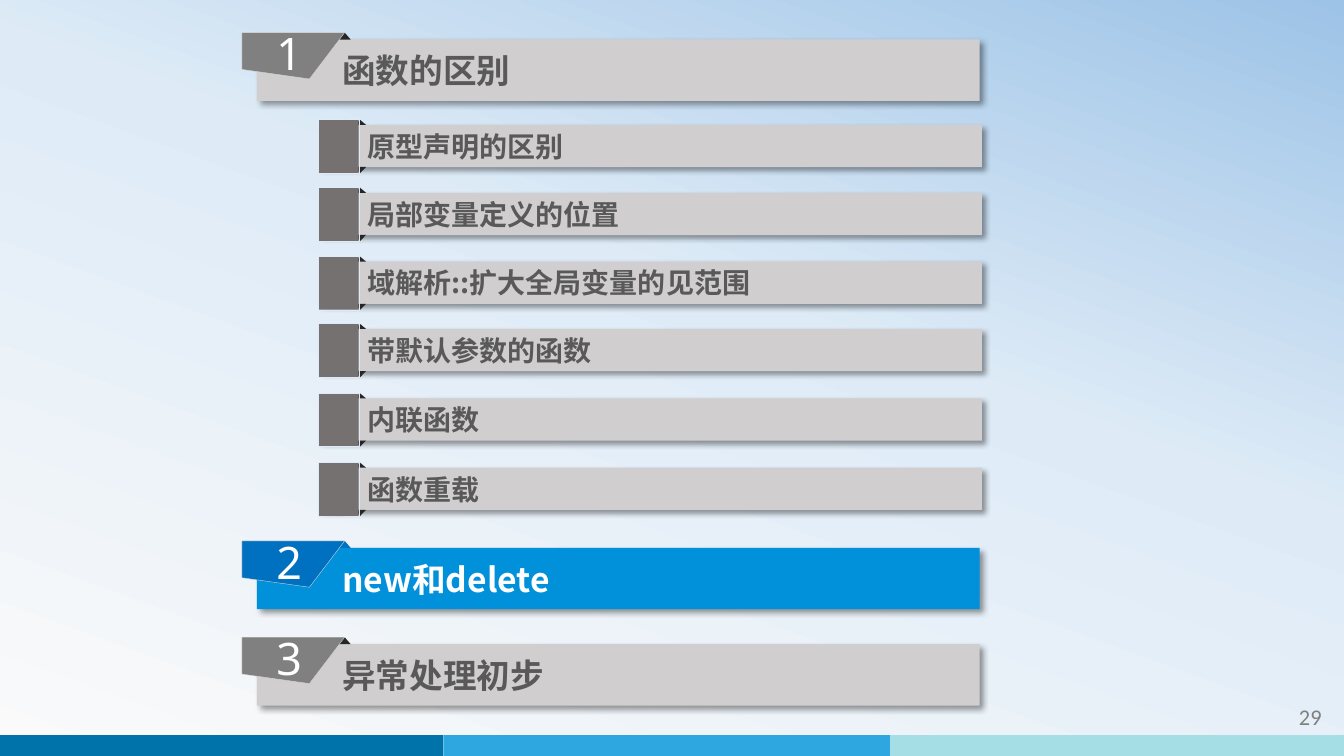
import copy
from dataclasses import dataclass

import pptx
import pptx.dml.color
import pptx.enum.shapes
import pptx.enum.text
import pptx.oxml
import pptx.oxml.ns
import pptx.util

Pt = pptx.util.Pt
qn = pptx.oxml.ns.qn
SHAPE = pptx.enum.shapes.MSO_SHAPE
ALIGN = pptx.enum.text.PP_ALIGN
CJK = "Noto Sans CJK SC"
COLORS = {
    "bar": "D0CECE", "text": "595959", "fold": "262626", "tag": "808080",
    "tag_edge": "D9D9D9", "square": "767171", "square_edge": "DEEBF7",
    "active_bar": "0091DA", "active": "0070C0", "white": "FFFFFF",
    "sky_low": "FAFAFA", "sky_mid": "DEEBF7", "sky_high": "9DC3E6",
    "band_1": "0073AB", "band_2": "2EA7E0", "band_3": "A5DEE4",
}


@dataclass
class Section:
    number: str
    title: str
    top: float
    bar: str = "bar"
    tag: str = "tag"
    fold: str = "fold"
    text: str = "text"


@dataclass
class Topic:
    title: str
    top: float


@dataclass
class Band:
    left: float
    right: float
    color: str


SECTIONS = [
    Section("1", "函数的区别", 23.3),
    Section("2", "new和delete", 386.4, "active_bar", "active", "active", "white"),
    Section("3", "异常处理初步", 455.2),
]
TOPICS = [
    Topic("原型声明的区别", 85.4),
    Topic("局部变量定义的位置", 133.9),
    Topic("域解析::扩大全局变量的见范围", 183.1),
    Topic("带默认参数的函数", 231.2),
    Topic("内联函数", 280.8),
    Topic("函数重载", 330.3),
]
BANDS = [
    Band(0, 316.8, "band_1"),
    Band(316.8, 636, "band_2"),
    Band(636, 960, "band_3"),
]


def rgb(name: str) -> pptx.dml.color.RGBColor:
    return pptx.dml.color.RGBColor.from_string(COLORS[name])


def paint(sp, fill: str, edge: str = "") -> None:
    sp.shadow.inherit = False
    sp.fill.solid()
    sp.fill.fore_color.rgb = rgb(fill)
    if edge:
        sp.line.color.rgb = rgb(edge)
        sp.line.width = Pt(0.25)
    else:
        sp.line.fill.background()


def add_preset(s, kind, left: float, top: float, width: float, height: float,
               fill: str, edge: str = ""):
    sp = s.shapes.add_shape(kind, Pt(left), Pt(top), Pt(width), Pt(height))
    paint(sp, fill, edge)
    return sp


def write(sp, text: str, size: float, font: str, color: str, align, bold: bool = False) -> None:
    tf = sp.text_frame
    tf.word_wrap = True
    tf.vertical_anchor = pptx.enum.text.MSO_ANCHOR.MIDDLE
    tf.text = text
    p = tf.paragraphs[0]
    p.alignment = align
    r = p.runs[0]
    r.font.size = Pt(size)
    r.font.bold = bold
    r.font.name = font
    r.font.color.rgb = rgb(color)
    latin = r.font._element.find(qn("a:latin"))
    ea = copy.deepcopy(latin)
    ea.tag = qn("a:ea")
    latin.addnext(ea)


def add_bar(s, left: float, top: float, width: float, height: float, fill: str,
            text: str, size: float, color: str, indent: float) -> None:
    sp = add_preset(s, SHAPE.RECTANGLE, left, top, width, height, fill)
    shadow = pptx.oxml.parse_xml(
        f'<a:outerShdw {pptx.oxml.ns.nsdecls("a")} blurRad="{Pt(4)}" dist="{Pt(3)}" '
        f'dir="{45 * 60000}" algn="tl" rotWithShape="0">'
        '<a:srgbClr val="000000"><a:alpha val="40000"/></a:srgbClr></a:outerShdw>')
    sp._element.spPr.find(qn("a:effectLst")).append(shadow)
    write(sp, text, size, CJK, color, ALIGN.LEFT, True)
    sp.text_frame.margin_left = Pt(indent)


def add_section(s, section: Section) -> None:
    top = section.top
    add_bar(s, 183.6, top + 4.9, 516.2, 43.9, section.bar, section.title, 24, section.text, 61)
    add_preset(s, SHAPE.ISOSCELES_TRIANGLE, 241.9, top, 8.6, 5, section.fold)
    corners = [(246.2, 0), (221, 33.1), (172.8, 26.3)]
    builder = s.shapes.build_freeform(Pt(172.8), Pt(top))
    builder.add_line_segments([(Pt(x), Pt(top + y)) for x, y in corners])
    tag = builder.convert_to_shape()
    paint(tag, section.tag, "tag_edge")
    write(tag, section.number, 32, "Noto Sans", "white", ALIGN.CENTER)
    tf = tag.text_frame
    tf.margin_left, tf.margin_top = Pt(6.5), Pt(2.9)
    tf.margin_right, tf.margin_bottom = Pt(12.2), Pt(7.2)


def add_topic(s, topic: Topic) -> None:
    top = topic.top
    add_bar(s, 228.4, top + 3.8, 473, 30.2, "bar", topic.title, 20, "text", 34)
    add_preset(s, SHAPE.ISOSCELES_TRIANGLE, 252.9, top + 0.2, 8.6, 3.6, "fold")
    lower = add_preset(s, SHAPE.ISOSCELES_TRIANGLE, 252.9, top + 33.9, 8.6, 4.3, "fold")
    lower.rotation = 180
    add_preset(s, SHAPE.RECTANGLE, 227.5, top, 28.8, 38.2, "square", "square_edge")


def add_sky(s) -> None:
    fill = s.background.fill
    fill.gradient()
    fill.gradient_angle = 70
    stops = s.element.find(".//" + qn("a:gsLst"))
    stops.append(copy.deepcopy(stops[-1]))
    sky = [(0, "sky_low"), (0.58, "sky_mid"), (1, "sky_high")]
    for stop, (position, color) in zip(fill.gradient_stops, sky):
        stop.position = position
        stop.color.rgb = rgb(color)


def main() -> None:
    prs = pptx.Presentation()
    prs.slide_width, prs.slide_height = Pt(960), Pt(540)
    s = prs.slides.add_slide(prs.slide_layouts[6])
    add_sky(s)
    for band in BANDS:
        add_preset(s, SHAPE.RECTANGLE, band.left, 525, band.right - band.left, 15, band.color)
    page = s.shapes.add_textbox(Pt(836.6), Pt(497.5), Pt(114.5), Pt(28.8))
    write(page, "29", 16, "Calibri", "tag", ALIGN.RIGHT)
    for section in SECTIONS:
        add_section(s, section)
    for topic in TOPICS:
        add_topic(s, topic)
    prs.save("out.pptx")


if __name__ == "__main__":
    main()
